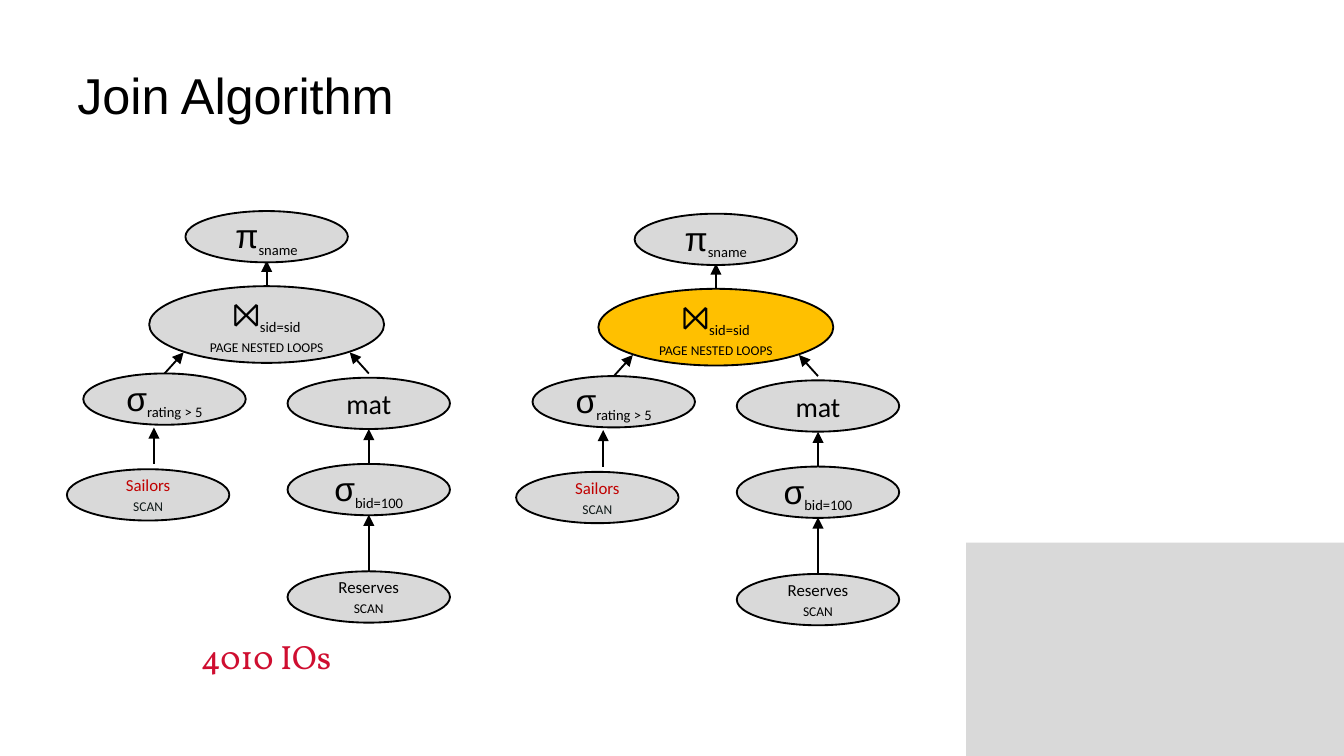
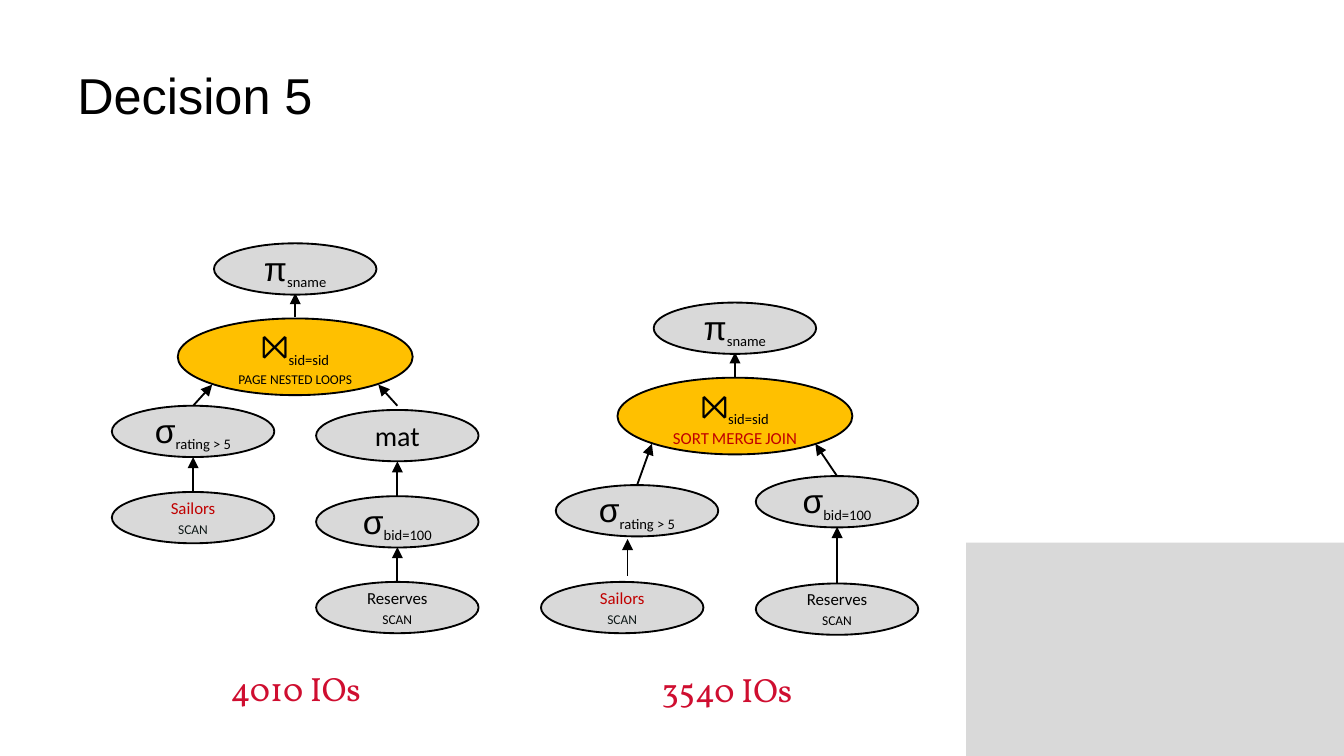
from lxml.etree import SubElement
from pptx import Presentation
from pptx.dml.color import RGBColor
from pptx.enum.shapes import MSO_CONNECTOR, MSO_SHAPE
from pptx.enum.text import MSO_ANCHOR, PP_ALIGN
from pptx.oxml.ns import qn
from pptx.util import Cm, Pt

COLORS = {
    "black": "000000",
    "grey": "D9D9D9",
    "gold": "FFC000",
    "red": "C00000",
    "ink": "0E1817",
    "cost": "CF0E30",
}
WIDE, HIGH = 3.07, 0.97
JOIN_WIDE, JOIN_HIGH = 4.44, 1.45


def hue(name):
    return RGBColor.from_string(COLORS[name])


def write(para, text, size, font="Calibri", color="black", **attrs):
    """Add one run; attrs are extra run properties such as baseline or cap."""
    run = para.add_run()
    run.text = text
    run.font.size = Pt(size)
    run.font.name = font
    run.font.color.rgb = hue(color)
    for key, value in attrs.items():
        run.font._element.set(key, value)


# Each label is a list of paragraphs, each a list of runs; None breaks the line.
SUB = {"baseline": "-25000"}
SMALL = {"cap": "small"}


LABELS = {
    "name": [[("π", 18, "Arial", "black", {}), ("sname", 13.5, "Calibri", "black", SUB)]],
    "rating": [[("σ", 18, "Arial", "black", {}), ("rating > 5", 13.5, "Calibri", "black", SUB)]],
    "bid": [[("σ", 18, "Arial", "black", {}), ("bid=100", 13.5, "Calibri", "black", SUB)]],
    "mat": [[("mat", 15, "Calibri", "black", {})]],
    "sailors": [[("Sailors", 9, "Calibri", "red", {})], [("scan", 9, "Calibri", "ink", SMALL)]],
    "reserves": [[("Reserves", 9, "Calibri", "black", {})], [("scan", 9, "Calibri", "black", SMALL)]],
}
JOIN = [("⨝", 18, "Arial", "black", {}), ("sid=sid", 13.5, "Calibri", "black", SUB), None]
LABELS["loops"] = [JOIN + [("page nested loops", 9, "Calibri", "black", SMALL)]]
LABELS["merge"] = [JOIN + [("SORT MERGE JOIN", 9, "Calibri", "red", SMALL)]]

# Offsets in cm from the top centre of a tree: nodes by (middle, top),
# arrows by (from x, from y, to x, to y).
TOP_ARROW = (0, 1.4, 0, 0.94)
LOOP_NODES = {"rating": (-1.93, 3.07), "mat": (1.93, 3.15), "bid": (1.93, 4.78)}
LOOP_ARROWS = [
    TOP_ARROW,
    (-1.93, 3.07, -1.57, 2.67),
    (1.93, 3.07, 1.57, 2.67),
    (1.93, 4.78, 1.93, 4.12),
]
PLANS = {
    "tall": (
        "loops",
        LOOP_NODES | {"sailors": (-2.24, 4.88), "reserves": (1.93, 6.81)},
        LOOP_ARROWS + [(-2.13, 4.78, -2.13, 4.09), (1.93, 6.93, 1.93, 5.74)],
    ),
    "even": (
        "loops",
        LOOP_NODES | {"sailors": (-1.93, 4.7), "reserves": (1.93, 6.4)},
        LOOP_ARROWS + [(-1.93, 4.7, -1.93, 4.04), (1.93, 6.4, 1.93, 5.74)],
    ),
    "merge": (
        "merge",
        {"rating": (-1.85, 3.45), "sailors": (-2.13, 5.28),
         "bid": (1.93, 3.28), "reserves": (1.93, 5.31)},
        [TOP_ARROW, (-1.85, 3.45, -1.57, 2.67), (1.93, 3.28, 1.52, 2.67),
         (-2.03, 5.16, -2.03, 4.47), (1.93, 5.44, 1.93, 4.24)],
    ),
}

# Title, trees (plan, middle, top, join fill), costs (text, left, top)
SLIDES = [
    ("Join Algorithm",
     [("tall", 5.04, 3.99, "grey"), ("tall", 13.53, 4.04, "gold")],
     [("4010 IOs", 3.05, 11.91)]),
    ("Decision 5",
     [("even", 5.58, 4.6, "gold"), ("merge", 13.89, 5.72, "gold")],
     [("4010 IOs", 3.61, 12.52), ("3540 IOs", 11.76, 12.55)]),
]

deck = Presentation()
deck.slide_width, deck.slide_height = Cm(25.4), Cm(14.29)
layout = deck.slide_layouts[5]

for heading, trees, costs in SLIDES:
    slide = deck.slides.add_slide(layout)
    shapes = slide.shapes

    title = shapes.title
    title.left, title.top, title.width, title.height = Cm(1.27), Cm(0.58), Cm(22.86), Cm(2.39)
    frame = title.text_frame
    frame.margin_left = frame.margin_right = Cm(0.19)
    frame.margin_top = frame.margin_bottom = Cm(0.1)
    frame.vertical_anchor = MSO_ANCHOR.MIDDLE
    frame.paragraphs[0].alignment = PP_ALIGN.LEFT
    write(frame.paragraphs[0], heading, 27, "Arial")

    for text, left, top in costs:
        box = shapes.add_textbox(Cm(left), Cm(top), Cm(3.96), Cm(HIGH))
        frame = box.text_frame
        frame.word_wrap = False
        frame.vertical_anchor = MSO_ANCHOR.MIDDLE
        frame.paragraphs[0].alignment = PP_ALIGN.CENTER
        write(frame.paragraphs[0], text, 18, "Vollkorn", "cost")

    for plan, mid, peak, fill in trees:
        join, nodes, arrows = PLANS[plan]

        for x1, y1, x2, y2 in arrows:
            arrow = shapes.add_connector(
                MSO_CONNECTOR.STRAIGHT,
                Cm(mid + x1), Cm(peak + y1), Cm(mid + x2), Cm(peak + y2))
            arrow.line.color.rgb = hue("black")
            arrow.line.width = Pt(1)
            SubElement(arrow.line._get_or_add_ln(), qn("a:tailEnd"), type="triangle")
            SubElement(arrow._element.spPr, qn("a:effectLst"))

        for key, (dx, dy) in ({"name": (0, 0), join: (0, 1.42)} | nodes).items():
            wide, high = (JOIN_WIDE, JOIN_HIGH) if key == join else (WIDE, HIGH)
            node = shapes.add_shape(
                MSO_SHAPE.OVAL, Cm(mid + dx - wide / 2), Cm(peak + dy), Cm(wide), Cm(high))
            node.shadow.inherit = False
            node.fill.solid()
            node.fill.fore_color.rgb = hue(fill if key == join else "grey")
            node.line.color.rgb = hue("black")
            node.line.width = Pt(1)
            frame = node.text_frame
            frame.word_wrap = True
            frame.vertical_anchor = MSO_ANCHOR.MIDDLE
            frame.margin_left = frame.margin_right = Cm(0.19)
            frame.margin_top = frame.margin_bottom = Cm(0.1)
            for row, runs in enumerate(LABELS[key]):
                para = frame.add_paragraph() if row else frame.paragraphs[0]
                para.alignment = PP_ALIGN.CENTER
                for run in runs:
                    if run is None:
                        para.add_line_break()
                    else:
                        write(para, *run[:4], **run[4])

# The corner block belongs to the layout, behind every slide.
block = shapes.add_shape(MSO_SHAPE.RECTANGLE, Cm(18.26), Cm(10.26), Cm(7.14), Cm(4.03))
block.shadow.inherit = False
block.fill.solid()
block.fill.fore_color.rgb = hue("grey")
block.line.fill.background()
layout.shapes.element.insert(2, block.element)

deck.save("out.pptx")
